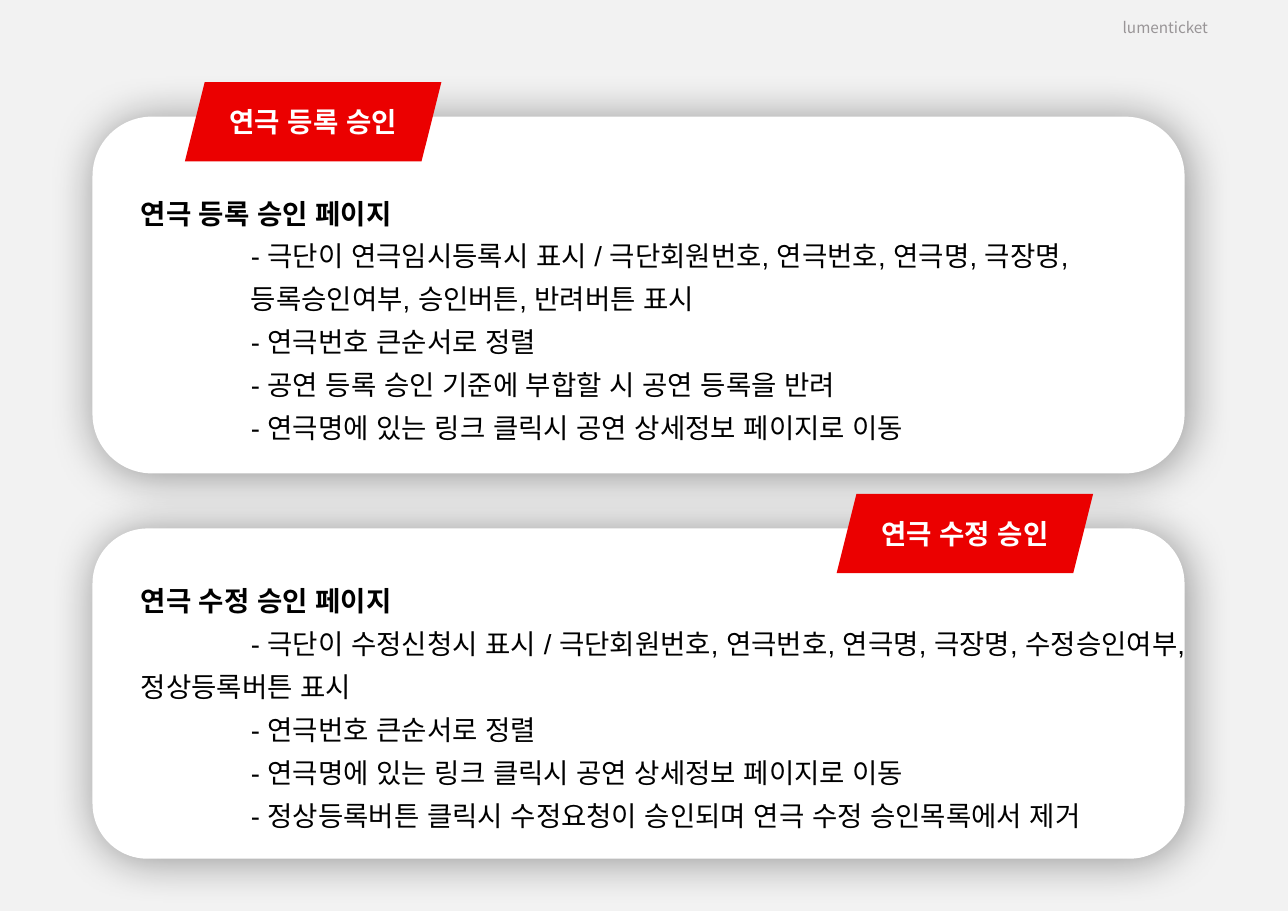
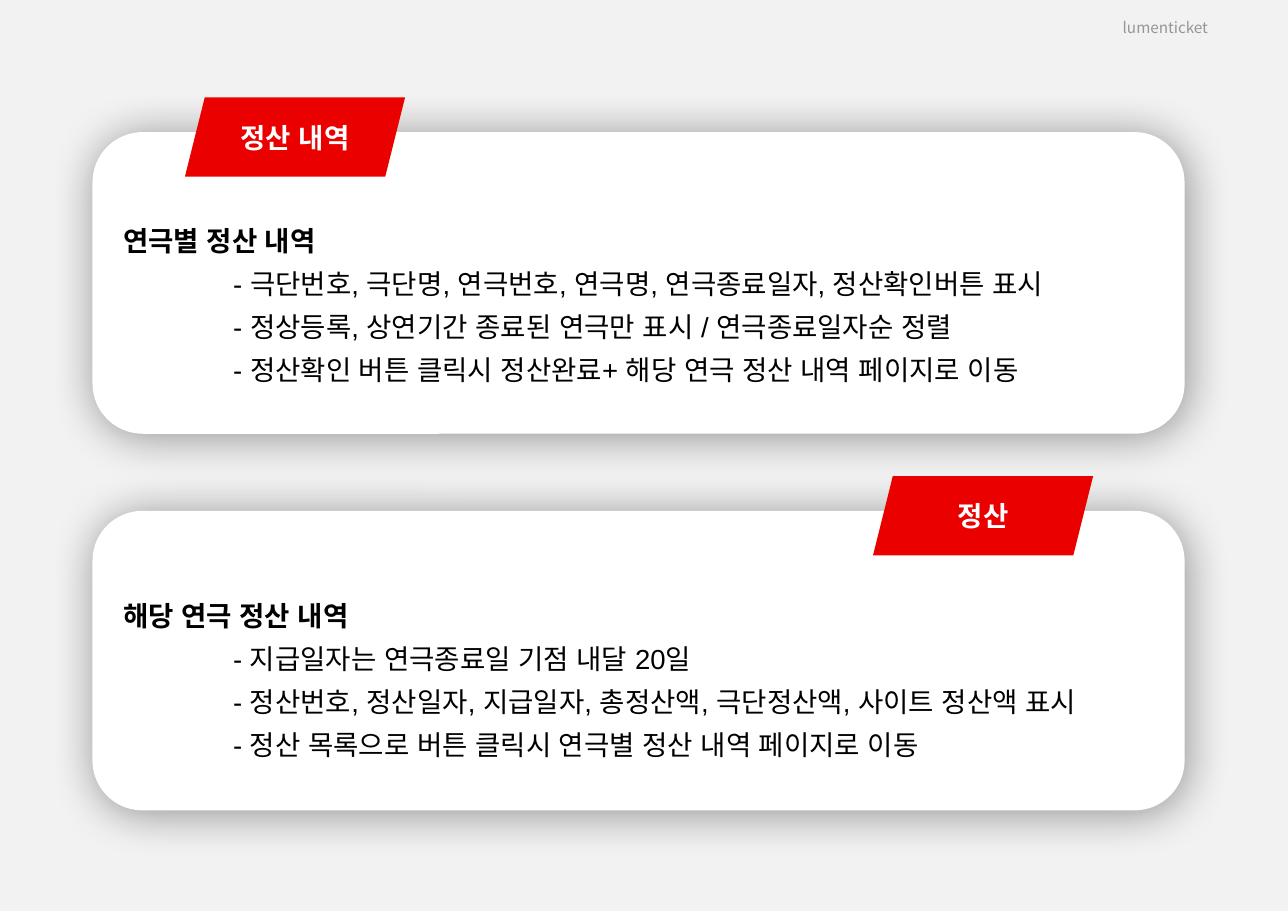
from lxml import etree
from pptx import Presentation
from pptx.dml.color import RGBColor
from pptx.enum.shapes import MSO_SHAPE
from pptx.enum.text import MSO_ANCHOR, PP_ALIGN
from pptx.oxml.ns import qn
from pptx.util import Emu, Inches, Pt

ROUND, SLANT = MSO_SHAPE.ROUNDED_RECTANGLE, MSO_SHAPE.PARALLELOGRAM
MID, TOP = MSO_ANCHOR.MIDDLE, MSO_ANCHOR.TOP
LEFT, CENTER, RIGHT = PP_ALIGN.LEFT, PP_ALIGN.CENTER, PP_ALIGN.RIGHT

HUES = {"back": "F2F2F2", "card": "FFFFFF", "tag": "EB0000",
        "ink": "000000", "light": "FFFFFF", "mute": "999597"}
SANS, HANGUL = "Arial", "Noto Sans CJK KR"

# Slide size, and a grid of square cells, about 117 by 83
WIDE, HIGH = Emu(10698163), Emu(7566025)
CELL = Inches(0.1)
CARD_X, CARD_W = 8.4, 99.2
TAG_L, TAG_R = 16.8, 99.3
TAG_UP, TAG_H = 3.15, 7.2

SHADE = ('<a:effectLst xmlns:a="http://schemas.openxmlformats.org/drawingml/2006/main">'
         f'<a:outerShdw blurRad="{Pt(30)}" dist="{Pt(3)}" dir="2700000" algn="tl" '
         'rotWithShape="0"><a:srgbClr val="000000"><a:alpha val="40000"/></a:srgbClr>'
         '</a:outerShdw></a:effectLst>')

# Each card: top, height, tag (text, width, side), body box, lines
PAGES = [
    [
        dict(top=10.6, high=32.4, tag="연극 등록 승인", wide=23.3, side=LEFT,
             box=(11.8, 14.3, 95.8, 28.7), lines=[
                 "연극 등록 승인 페이지",
                 "- 극단이 연극임시등록시 표시 / 극단회원번호, 연극번호, 연극명, 극장명,",
                 "등록승인여부, 승인버튼, 반려버튼 표시",
                 "- 연극번호 큰순서로 정렬",
                 "- 공연 등록 승인 기준에 부합할 시 공연 등록을 반려",
                 "- 연극명에 있는 링크 클릭시 공연 상세정보 페이지로 이동"]),
        dict(top=48, high=30, tag="연극 수정 승인", wide=23.3, side=RIGHT,
             box=(11.8, 51.3, 98.1, 25.1), lines=[
                 "연극 수정 승인 페이지",
                 "- 극단이 수정신청시 표시 / 극단회원번호, 연극번호, 연극명, 극장명, "
                 "수정승인여부, 정상등록버튼 표시",
                 "- 연극번호 큰순서로 정렬",
                 "- 연극명에 있는 링크 클릭시 공연 상세정보 페이지로 이동",
                 "- 정상등록버튼 클릭시 수정요청이 승인되며 연극 수정 승인목록에서 제거"]),
    ],
    [
        dict(top=12, high=27.4, tag="정산 내역", wide=20, side=LEFT,
             box=(10.2, 18.9, 95.8, 16.7), lines=[
                 "연극별 정산 내역",
                 "- 극단번호, 극단명, 연극번호, 연극명, 연극종료일자, 정산확인버튼 표시",
                 "- 정상등록, 상연기간 종료된 연극만 표시 / 연극종료일자순 정렬",
                 "- 정산확인 버튼 클릭시 정산완료+ 해당 연극 정산 내역 페이지로 이동"]),
        dict(top=46.4, high=27.2, tag="정산", wide=20, side=RIGHT,
             box=(10.2, 53, 98.3, 16.7), lines=[
                 "해당 연극 정산 내역",
                 "- 지급일자는 연극종료일 기점 내달 20일",
                 "- 정산번호, 정산일자, 지급일자, 총정산액, 극단정산액, 사이트 정산액 표시",
                 "- 정산 목록으로 버튼 클릭시 연극별 정산 내역 페이지로 이동"]),
    ],
]


def draw(slide, box, kind=None, fill=None):
    """Add a shape, or a text box when no kind is given, on the grid."""
    spot = [round(n * CELL) for n in box]
    if kind is None:
        return slide.shapes.add_textbox(*spot)
    shape = slide.shapes.add_shape(kind, *spot)
    shape.shadow.inherit = False
    shape.fill.solid()
    shape.fill.fore_color.rgb = RGBColor.from_string(HUES[fill])
    shape.line.fill.background()
    return shape


def write(shape, lines, font=SANS, asian=SANS, size=18, hue="ink", bold=False,
          head=False, align=LEFT, anchor=MID, space=1.0):
    """Write lines; with head, the first is bold and the rest are indented."""
    frame = shape.text_frame
    frame.word_wrap = True
    frame.vertical_anchor = anchor
    for i, line in enumerate(lines):
        para = frame.add_paragraph() if i else frame.paragraphs[0]
        para.alignment, para.line_spacing = align, space
        if head and i:
            para._p.get_or_add_pPr().set("indent", str(Inches(1)))
        run = para.add_run()
        run.text = line
        run.font.name, run.font.size = font, Pt(size)
        run.font.bold = bold or (head and i == 0)
        run.font.color.rgb = RGBColor.from_string(HUES[hue])
        etree.SubElement(run._r.rPr, qn("a:ea")).set("typeface", asian)


deck = Presentation()
deck.slide_width, deck.slide_height = WIDE, HIGH
blank = deck.slide_layouts[6]

# Shared background
back = deck.slide_master.background.fill
back.solid()
back.fore_color.rgb = RGBColor.from_string(HUES["back"])

for page in PAGES:
    slide = deck.slides.add_slide(blank)

    # Running header
    write(draw(slide, (56.8, 1.2, 53.9, 2.7)), ["lumenticket"], font=HANGUL,
          asian=HANGUL, size=10, hue="mute", align=RIGHT, anchor=TOP)

    for card in page:
        # Card with soft shadow
        panel = draw(slide, (CARD_X, card["top"], CARD_W, card["high"]), ROUND, "card")
        props = panel._element.spPr
        props.replace(props.find(qn("a:effectLst")), etree.fromstring(SHADE))

        # Red tag on the top edge
        left = TAG_L if card["side"] == LEFT else TAG_R - card["wide"]
        tag = draw(slide, (left, card["top"] - TAG_UP, card["wide"], TAG_H), SLANT, "tag")
        write(tag, [card["tag"]], font="Calibri", hue="light", bold=True, align=CENTER)

        # Heading and points
        write(draw(slide, card["box"]), card["lines"], head=True, space=1.3)

deck.save("out.pptx")
